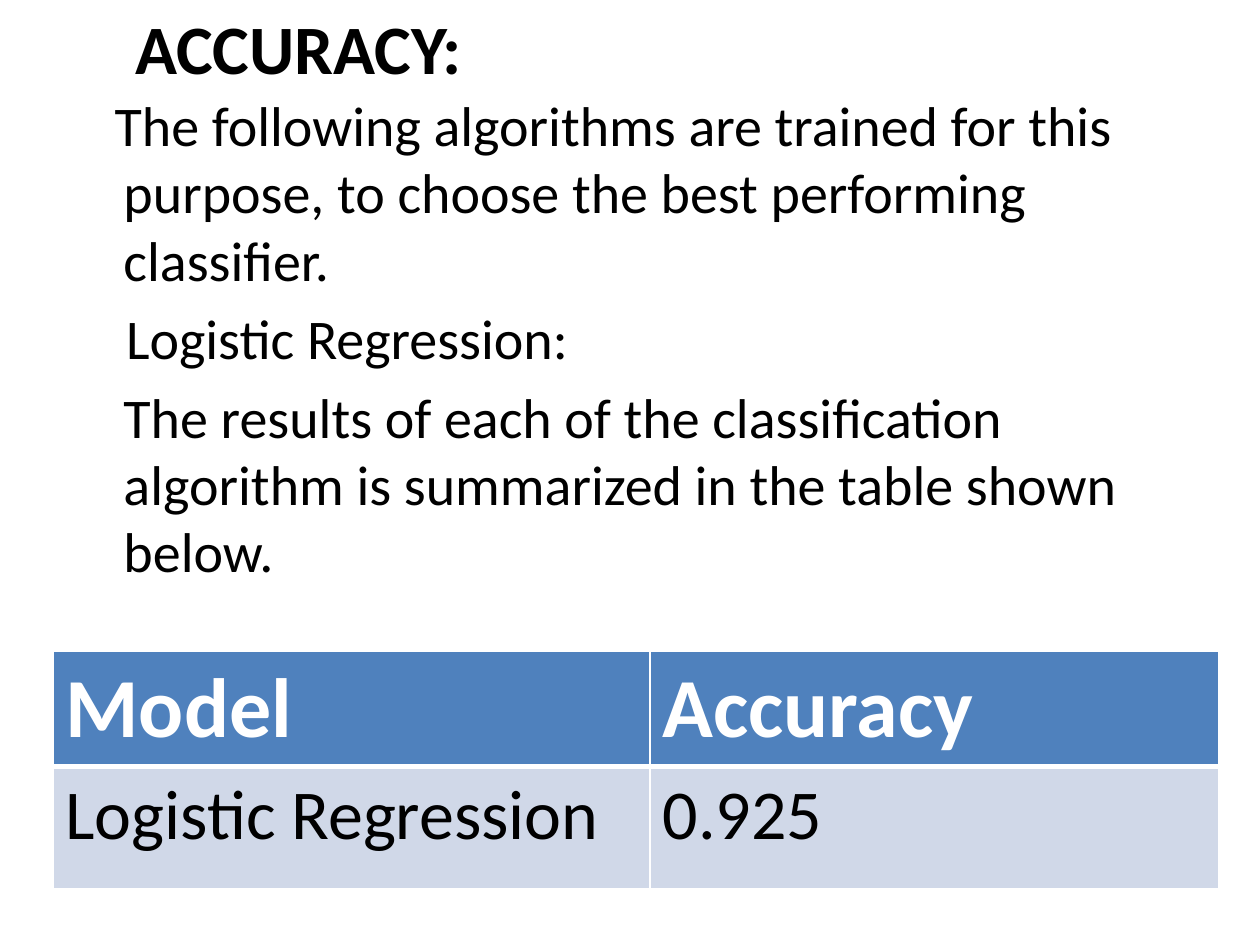
from lxml import etree
from pptx import Presentation
from pptx import util as u
from pptx.dml.color import RGBColor
from pptx.enum import text
from pptx.oxml import ns

FONT = "Calibri"
BLACK = "000000"
WHITE = "FFFFFF"
HEADER_FILL = "4F81BD"
ROW_FILL = "D0D8E8"

STATEMENTS = [
    ("The following algorithms are trained for this purpose, "
     "to choose the best performing classifier.", -0.07),
    ("Logistic Regression:", 0.02),
    ("The results of each of the classification algorithm "
     "is summarized in the table shown below.", 0),
]
COLUMN_WIDTHS = [4.74, 4.51]
ROWS = [
    (("Model", "Accuracy"), 0.9, HEADER_FILL, 3,
     dict(size=48, color=WHITE, bold=True)),
    (("Logistic Regression", "0.925"), 0.97, ROW_FILL, 1,
     dict(size=40, color=BLACK, bold=False)),
]


def rgb(value):
    return RGBColor.from_string(value)


def write(para, words, size, color=BLACK, bold=False):
    span = para.add_run()
    span.text = words
    span.font.name = FONT
    span.font.size = u.Pt(size)
    span.font.bold = bold
    span.font.color.rgb = rgb(color)


def place(box, left, top, width, height):
    box.left, box.top = u.Inches(left), u.Inches(top)
    box.width, box.height = u.Inches(width), u.Inches(height)


def add_borders(cell, bottom):
    properties = cell._tc.get_or_add_tcPr()
    for side, width in (("L", 1), ("R", 1), ("T", 1), ("B", bottom)):
        line = etree.SubElement(properties, ns.qn(f"a:ln{side}"), w=str(u.Pt(width)))
        fill = etree.SubElement(line, ns.qn("a:solidFill"))
        etree.SubElement(fill, ns.qn("a:srgbClr"), val=WHITE)


class SlideBuilder:
    def __init__(self, page):
        self.page = page

    def title(self, words, *bounds):
        box = self.page.shapes.title
        place(box, *bounds)
        frame = box.text_frame
        frame.auto_size = text.MSO_AUTO_SIZE.NONE
        frame.vertical_anchor = text.MSO_ANCHOR.MIDDLE
        para = frame.paragraphs[0]
        para.alignment = text.PP_ALIGN.CENTER
        write(para, words, size=39.6, bold=True)

    def body(self, statements, *bounds):
        box = self.page.placeholders[1]
        place(box, *bounds)
        frame = box.text_frame
        frame.auto_size = text.MSO_AUTO_SIZE.NONE
        for index, (words, indent) in enumerate(statements):
            para = frame.add_paragraph() if index else frame.paragraphs[0]
            properties = para._p.get_or_add_pPr()
            properties.set("marL", str(u.Inches(0.38)))
            properties.set("indent", str(u.Inches(indent)))
            etree.SubElement(properties, ns.qn("a:buNone"))
            write(para, words, size=32)

    def table(self, rows, widths, left, top):
        height = sum(row[1] for row in rows)
        table = self.page.shapes.add_table(
            len(rows), len(widths), u.Inches(left), u.Inches(top),
            u.Inches(sum(widths)), u.Inches(height)).table
        for column, width in zip(table.columns, widths):
            column.width = u.Inches(width)
        for row, (words, height, fill, bottom, style) in zip(table.rows, rows):
            row.height = u.Inches(height)
            for cell, word in zip(row.cells, words):
                add_borders(cell, bottom)
                cell.fill.solid()
                cell.fill.fore_color.rgb = rgb(fill)
                write(cell.text_frame.paragraphs[0], word, **style)


def main():
    deck = Presentation()
    deck.slide_width, deck.slide_height = u.Inches(10), u.Inches(7.5)
    page = deck.slides.add_slide(deck.slide_layouts[1])
    page.background.fill.solid()
    page.background.fill.fore_color.rgb = rgb(WHITE)
    builder = SlideBuilder(page)
    builder.title("ACCURACY:", 0.83, 0, 3.08, 0.75)
    builder.body(STATEMENTS, 0.5, 0.67, 9, 6.83)
    builder.table(ROWS, COLUMN_WIDTHS, 0.42, 5.17)
    deck.save("out.pptx")


if __name__ == "__main__":
    main()
